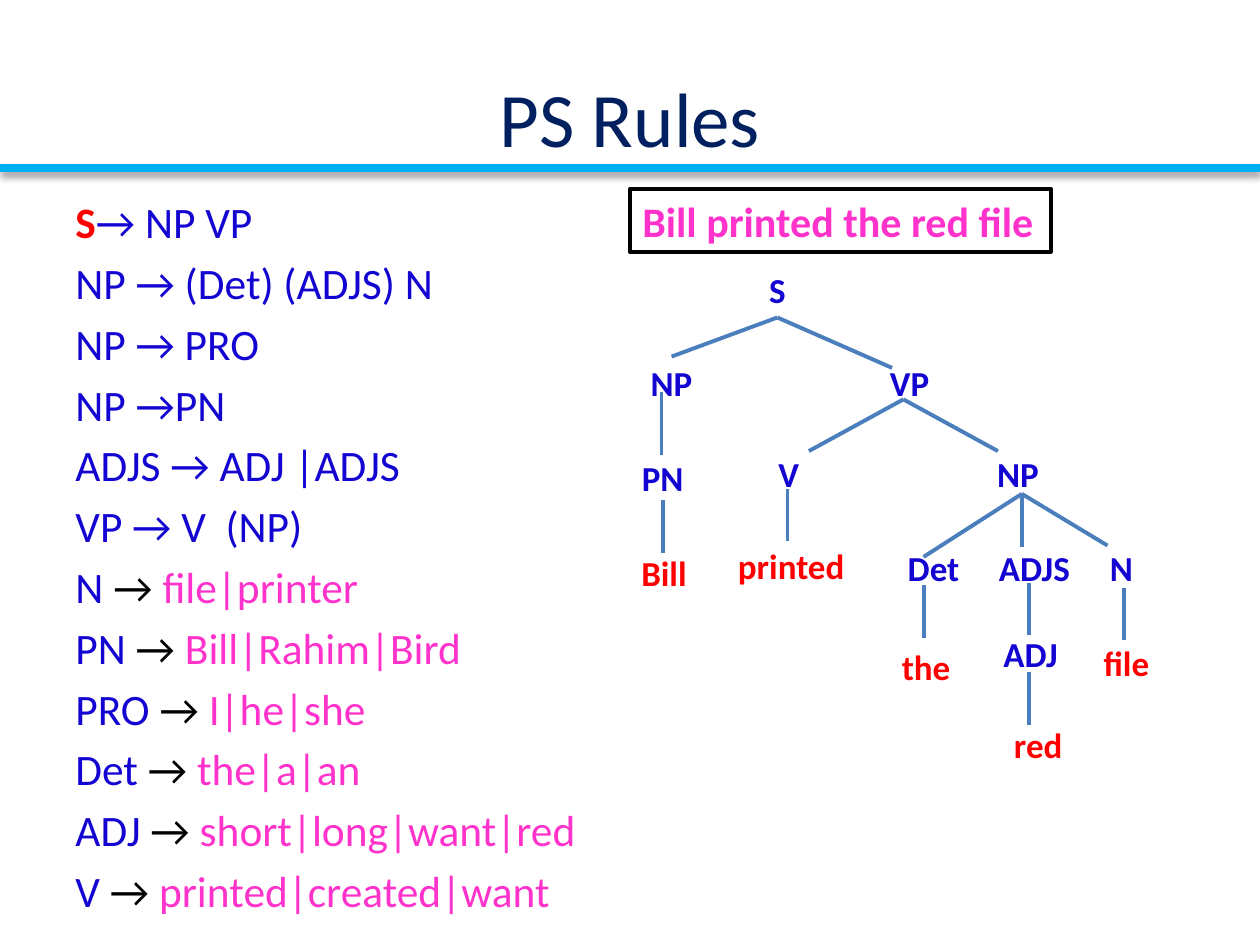
from lxml.etree import SubElement
from pptx import Presentation
from pptx.dml.color import RGBColor
from pptx.enum.shapes import MSO_CONNECTOR, MSO_SHAPE
from pptx.enum.text import MSO_ANCHOR, PP_ALIGN
from pptx.oxml.ns import qn
from pptx.util import Inches, Pt

THEME = {
    "font": "Calibri",
    "title": "002060", "rule": "1304D2", "start": "FF0000", "word": "FF33CC",
    "black": "000000", "branch": "4B7EBC", "bar": "00B0F0",
    "title_size": 44, "rule_size": 24.8, "sentence_size": 24, "node_size": 20,
}

TITLE = "PS Rules"
SENTENCE = "Bill printed the red file"
GRAMMAR = ["NP → (Det) (ADJS) N", "NP → PRO", "NP →PN", "ADJS → ADJ |ADJS", "VP → V  (NP)"]
LEXICON = [
    ("N", "file|printer"), ("PN", "Bill|Rahim|Bird"), ("PRO", "I|he|she"),
    ("Det", "the|a|an"), ("ADJ", "short|long|want|red"), ("V", "printed|created|want"),
]
# text, centre x, top, width
CATEGORIES = [
    ("S", 6.17, 2.08, 0.34), ("NP", 5.33, 2.82, 0.6), ("VP", 7.22, 2.82, 0.6),
    ("PN", 5.26, 3.57, 0.6), ("V", 6.26, 3.54, 0.4), ("NP", 8.08, 3.54, 0.6),
    ("Det", 7.41, 4.29, 0.7), ("ADJS", 8.21, 4.29, 0.9), ("N", 8.9, 4.29, 0.4),
    ("ADJ", 8.18, 4.97, 0.7),
]
WORDS = [
    ("Bill", 5.27, 4.33, 0.6), ("printed", 6.28, 4.27, 1.1), ("the", 7.35, 5.07, 0.65),
    ("file", 8.94, 5.04, 0.6), ("red", 8.24, 5.69, 0.65),
]
NODE_HEIGHT = 0.44
# start point, then the end points of its branches
BRANCHES = [
    ((6.17, 2.52), [(5.33, 2.83), (7.08, 2.92)]),
    ((7.17, 3.17), [(6.42, 3.58), (7.92, 3.58)]),
    ((8.11, 3.92), [(7.33, 4.42), (8.11, 4.34), (8.79, 4.33)]),
    ((5.25, 3.11), [(5.25, 3.61)]),
    ((5.26, 3.97), [(5.26, 4.39)]),
    ((6.25, 3.88), [(6.25, 4.29)]),
    ((7.33, 4.64), [(7.33, 5.06)]),
    ((8.17, 4.63), [(8.17, 5.04)]),
    ((8.17, 5.33), [(8.17, 5.75)]),
    ((8.92, 4.67), [(8.92, 5.08)]),
]


def color(name):
    return RGBColor.from_string(THEME[name])


def add_run(p, text, *, size, fill, bold=False):
    r = p.add_run()
    r.text = text
    r.font.name = THEME["font"]
    r.font.size = Pt(THEME[size])
    r.font.color.rgb = color(fill)
    r.font.bold = bold


def add_line(s, start, end, *, fill, width):
    """Draw a straight line and return it with its empty effect list."""
    line = s.shapes.add_connector(
        MSO_CONNECTOR.STRAIGHT, *(Inches(v) for v in (*start, *end)))
    line.line.color.rgb = color(fill)
    line.line.width = Pt(width)
    return line, SubElement(line._element.spPr, qn("a:effectLst"))


def add_bar(s):
    _, effects = add_line(s, (0, 1.33), (10, 1.33), fill="bar", width=4.5)
    shadow = SubElement(effects, qn("a:outerShdw"), blurRad=str(Pt(4)),
                        dist=str(Pt(3)), dir="5400000", rotWithShape="0")
    rgb = SubElement(shadow, qn("a:srgbClr"), val=THEME["black"])
    SubElement(rgb, qn("a:alpha"), val="40000")


def add_title(s):
    title = s.shapes.title
    title.left, title.top, title.width, title.height = (
        Inches(v) for v in (0.5, 0.3, 9, 1.25))
    tf = title.text_frame
    tf.vertical_anchor = MSO_ANCHOR.MIDDLE
    p = tf.paragraphs[0]
    p.alignment = PP_ALIGN.CENTER
    add_run(p, TITLE, size="title_size", fill="title")


def add_rules(s):
    start = [("S", "start", True), ("→ NP VP", "rule", False)]
    grammar = [[(text, "rule", False)] for text in GRAMMAR]
    lexicon = [[(symbol, "rule", False), (" → ", "black", False), (words, "word", False)]
               for symbol, words in LEXICON]
    tf = s.shapes.add_textbox(*(Inches(v) for v in (0.5, 1.5, 4.42, 5.58))).text_frame
    tf.word_wrap = True
    for i, runs in enumerate([start, *grammar, *lexicon]):
        p = tf.add_paragraph() if i else tf.paragraphs[0]
        p.space_before = Pt(5)
        for text, fill, bold in runs:
            add_run(p, text, size="rule_size", fill=fill, bold=bold)


def add_sentence(s):
    box = s.shapes.add_shape(
        MSO_SHAPE.RECTANGLE, *(Inches(v) for v in (5, 1.5, 3.34, 0.5)))
    box.shadow.inherit = False
    box.fill.background()
    box.line.color.rgb = color("black")
    box.line.width = Pt(2.25)
    tf = box.text_frame
    tf.word_wrap = False
    p = tf.paragraphs[0]
    p.alignment = PP_ALIGN.LEFT
    add_run(p, SENTENCE, size="sentence_size", fill="word", bold=True)


def add_node(s, text, center, top, width, *, fill):
    box = s.shapes.add_textbox(Inches(center - width / 2), Inches(top),
                               Inches(width), Inches(NODE_HEIGHT))
    tf = box.text_frame
    tf.word_wrap = False
    p = tf.paragraphs[0]
    p.alignment = PP_ALIGN.CENTER
    add_run(p, text, size="node_size", fill=fill, bold=True)
    return box


def add_tree(s):
    root, *_ = [add_node(s, *node, fill="rule") for node in CATEGORIES]
    for node in WORDS:
        add_node(s, *node, fill="start")
    for i, (start, ends) in enumerate(BRANCHES):
        for end in ends:
            line, _ = add_line(s, start, end, fill="branch", width=2.25)
            if i == 0:
                line.begin_connect(root, 2)


def main():
    prs = Presentation()
    prs.slide_width, prs.slide_height = Inches(10), Inches(7.5)
    s = prs.slides.add_slide(prs.slide_layouts[5])
    add_title(s)
    add_rules(s)
    add_sentence(s)
    add_tree(s)
    add_bar(s)
    prs.save("out.pptx")


if __name__ == "__main__":
    main()
